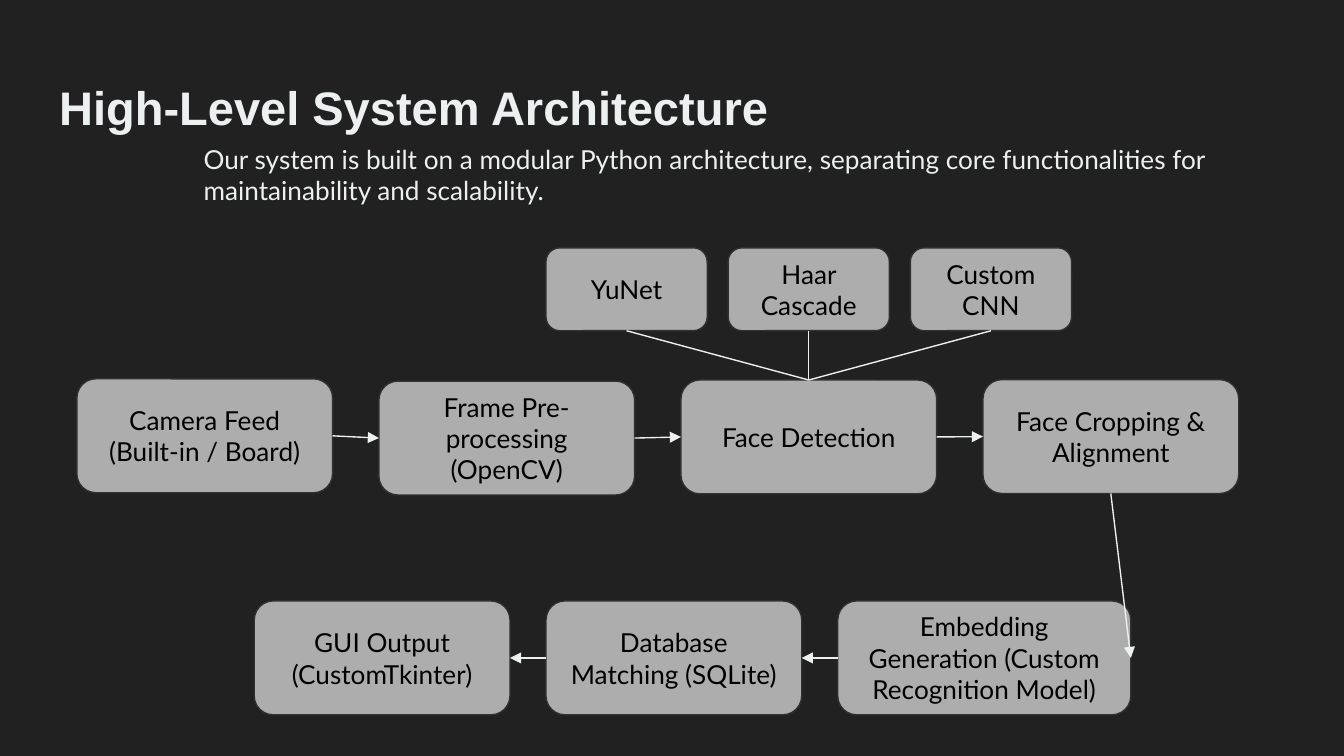
import pptx
import pptx.util
import pptx.dml.color
import pptx.enum.shapes
import pptx.enum.text
import pptx.oxml.ns
import lxml.etree

Pt = pptx.util.Pt
ALIGN = pptx.enum.text.PP_ALIGN
ANCHOR = pptx.enum.text.MSO_ANCHOR

COLOURS = {
    "background": "212121",
    "light": "ECF0F1",
    "box": "ADADAD",
    "outline": "303030",
    "dark": "000000",
}
TOP, LEFT, BOTTOM, RIGHT = range(4)  # connection sites of a box


def colour(name):
    return pptx.dml.color.RGBColor.from_string(COLOURS[name])


def write(shape, text, size=14, font="Lato", ink="light", bold=False,
          align=ALIGN.LEFT, anchor=ANCHOR.TOP):
    frame = shape.text_frame
    frame.word_wrap = True
    frame.auto_size = pptx.enum.text.MSO_AUTO_SIZE.NONE
    frame.vertical_anchor = anchor
    frame.margin_left = frame.margin_right = Pt(7.2)
    frame.margin_top = frame.margin_bottom = Pt(7.2)
    paragraph = frame.paragraphs[0]
    paragraph.alignment = align
    run = paragraph.add_run()
    run.text = text
    run.font.size = Pt(size)
    run.font.name = font
    run.font.bold = bold
    run.font.color.rgb = colour(ink)


def add_title(slide, text):
    title = slide.shapes.title
    title.left, title.top = Pt(24.5), Pt(35)
    title.width, title.height = Pt(671), Pt(45)
    write(title, text, size=25.2, font="Arial", bold=True)


def add_box(slide, text, left, top, width=137, height=61):
    box = slide.shapes.add_shape(
        pptx.enum.shapes.MSO_SHAPE.ROUNDED_RECTANGLE,
        Pt(left), Pt(top), Pt(width), Pt(height))
    box.shadow.inherit = False
    box.fill.solid()
    box.fill.fore_color.rgb = colour("box")
    box.line.color.rgb = colour("outline")
    box.line.width = Pt(0.75)
    write(box, text, ink="dark", align=ALIGN.CENTER, anchor=ANCHOR.MIDDLE)
    return box


def connect(slide, source, source_site, target, target_site, arrow=True):
    link = slide.shapes.add_connector(
        pptx.enum.shapes.MSO_CONNECTOR.STRAIGHT, 0, 0, 0, 0)
    link.begin_connect(source, source_site)
    link.end_connect(target, target_site)
    link.line.color.rgb = colour("light")
    link.line.width = Pt(0.75)
    qn = pptx.oxml.ns.qn
    if arrow:
        lxml.etree.SubElement(link.line._get_or_add_ln(), qn("a:tailEnd"),
                              type="triangle")
    lxml.etree.SubElement(link._element.spPr, qn("a:effectLst"))


def main():
    deck = pptx.Presentation()
    deck.slide_width, deck.slide_height = Pt(720), Pt(405)
    slide = deck.slides.add_slide(deck.slide_layouts[5])
    slide.background.fill.solid()
    slide.background.fill.fore_color.rgb = colour("background")

    # Heading and introduction
    add_title(slide, "High-Level System Architecture")
    introduction = slide.shapes.add_textbox(Pt(102), Pt(69.4), Pt(605.5), Pt(34))
    write(introduction, "Our system is built on a modular Python architecture, "
          "separating core functionalities for maintainability and scalability.")

    # Upper row: from the camera to the cropped face
    capture_steps = [
        ("Camera Feed (Built-in / Board)", 203),
        ("Frame Pre-processing (OpenCV)", 204.2),
        ("Face Detection", 203.6),
        ("Face Cropping & Alignment", 203.4),
    ]
    capture = [add_box(slide, text, 41.2 + 161.8 * i, top)
               for i, (text, top) in enumerate(capture_steps)]
    for source, target in zip(capture, capture[1:]):
        connect(slide, source, RIGHT, target, LEFT)

    # Lower row: from the embedding back to the interface
    recognition_steps = [
        ("Embedding Generation (Custom Recognition Model)", 157),
        ("Database Matching (SQLite)", 137),
        ("GUI Output (CustomTkinter)", 137),
    ]
    recognition = [add_box(slide, text, 448.8 - 156.3 * i, 322, width)
                   for i, (text, width) in enumerate(recognition_steps)]
    for source, target in zip(recognition, recognition[1:]):
        connect(slide, source, LEFT, target, RIGHT)
    connect(slide, capture[-1], BOTTOM, recognition[0], RIGHT)

    # Detectors feeding the detection step
    detection = capture[2]
    for i, name in enumerate(["YuNet", "Haar Cascade", "Custom CNN"]):
        detector = add_box(slide, name, 292.5 + 97.6 * i, 132.8, 86.4, 44.4)
        connect(slide, detector, BOTTOM, detection, TOP, arrow=False)

    deck.save("out.pptx")


if __name__ == "__main__":
    main()
